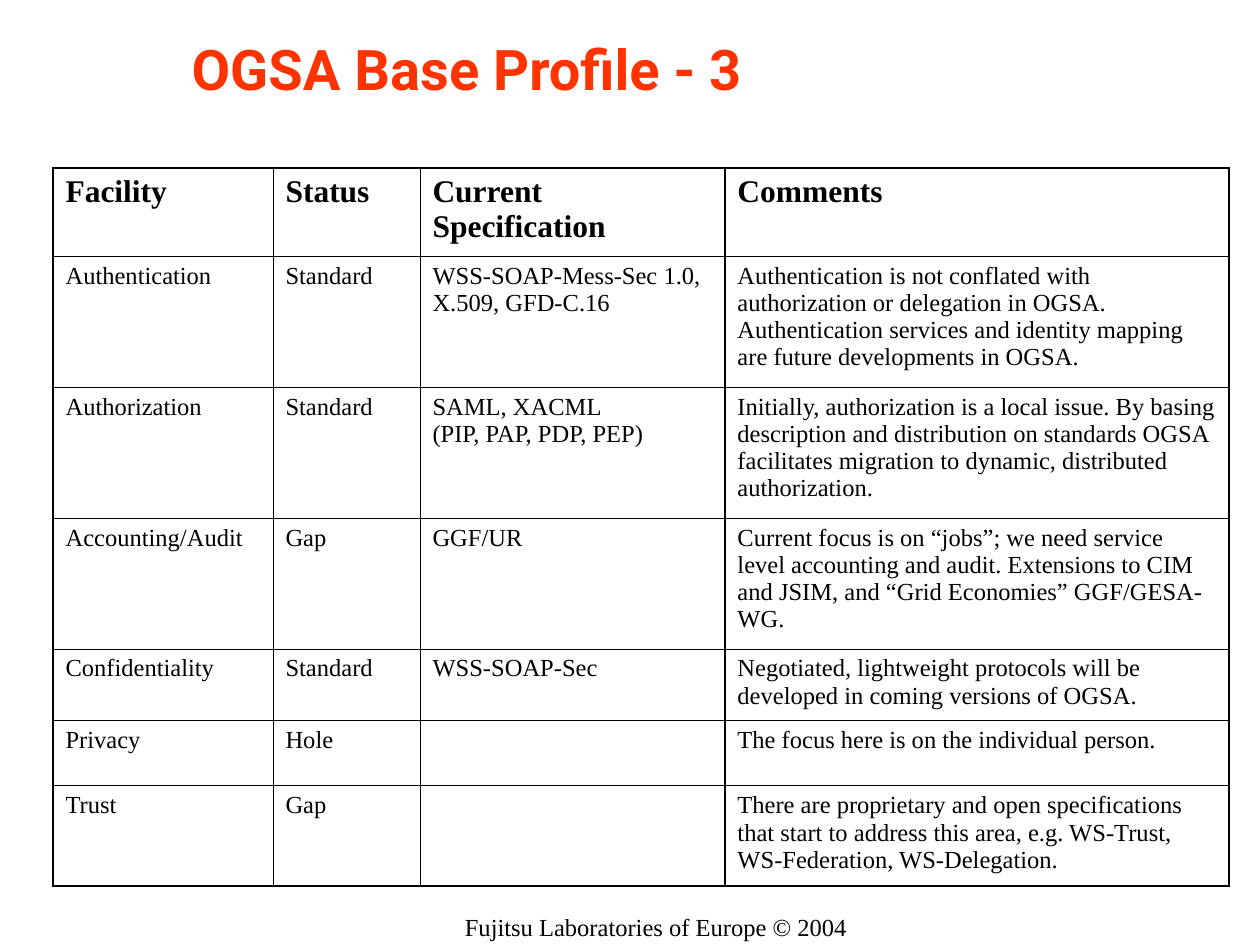
"""Builds the slide listing the third part of the OGSA base profile."""
from lxml import etree
from pptx import Presentation, util as u
from pptx.dml.color import RGBColor
from pptx.enum import text
from pptx.oxml import ns

TITLE = "OGSA Base Profile - 3"
FOOTER = "Fujitsu Laboratories of Europe © 2004"
FACILITIES = [
    ("Facility", "Status", "Current Specification", "Comments"),
    ("Authentication", "Standard", "WSS-SOAP-Mess-Sec 1.0,\nX.509, GFD-C.16",
     "Authentication is not conflated with authorization or delegation in OGSA. "
     "Authentication services and identity mapping are future developments in OGSA."),
    ("Authorization", "Standard", "SAML, XACML\n(PIP, PAP, PDP, PEP)",
     "Initially, authorization is a local issue. By basing description and distribution "
     "on standards OGSA facilitates migration to dynamic, distributed authorization."),
    ("Accounting/Audit", "Gap", "GGF/UR",
     "Current focus is on “jobs”; we need service level accounting and audit. "
     "Extensions to CIM and JSIM, and “Grid Economies” GGF/GESA-WG."),
    ("Confidentiality", "Standard", "WSS-SOAP-Sec",
     "Negotiated, lightweight protocols will be developed in coming versions of OGSA."),
    ("Privacy", "Hole", "", "The focus here is on the individual person."),
    ("Trust", "Gap", "",
     "There are proprietary and open specifications that start to address this area, "
     "e.g. WS-Trust, WS-Federation, WS-Delegation."),
]
COLUMN_WIDTHS = [220, 147, 305, 504]
ROW_HEIGHTS = [88, 131, 131, 131, 72, 65, 100]
THIN, OUTER, DIVIDER = 0.45, 1.08, 1.47


def px(length):
    return u.Emu(round(length * 914400 / 126))


def color(value):
    return RGBColor.from_string(value)


def write(frame, words, size=14, font="Times New Roman", fill="000000", bold=False,
          align=text.PP_ALIGN.LEFT):
    frame.text = words
    frame.word_wrap = True
    for paragraph in frame.paragraphs:
        paragraph.alignment = align
        for run in paragraph.runs:
            run.font.size = u.Pt(size)
            run.font.name = font
            run.font.bold = bold
            run.font.color.rgb = color(fill)


def place(shape, left, top, width, height):
    shape.left, shape.top = px(left), px(top)
    shape.width, shape.height = px(width), px(height)


def add_text_shadow(run):
    effects = etree.Element(ns.qn("a:effectLst"))
    shadow = etree.SubElement(effects, ns.qn("a:outerShdw"), dist="25400", dir="2700000")
    etree.SubElement(shadow, ns.qn("a:srgbClr"), val="000000")
    run.font.fill._xPr.find(ns.qn("a:solidFill")).addnext(effects)


def set_borders(cell, **widths):
    properties = cell._tc.get_or_add_tcPr()
    for side, width in widths.items():
        line = etree.SubElement(properties, ns.qn(f"a:ln{side}"), w=str(u.Pt(width)))
        paint = etree.SubElement(line, ns.qn("a:solidFill"))
        etree.SubElement(paint, ns.qn("a:srgbClr"), val="000000")


def add_facility_table(slide):
    last_row, last_column = len(ROW_HEIGHTS) - 1, len(COLUMN_WIDTHS) - 1
    table = slide.shapes.add_table(
        len(ROW_HEIGHTS), len(COLUMN_WIDTHS), px(53), px(168),
        px(sum(COLUMN_WIDTHS)), px(sum(ROW_HEIGHTS))).table
    table.first_row = table.horz_banding = False
    for column, width in zip(table.columns, COLUMN_WIDTHS):
        column.width = px(width)
    for row, height in zip(table.rows, ROW_HEIGHTS):
        row.height = px(height)
    verticals = [OUTER, THIN, THIN, DIVIDER, OUTER]
    for r, facility in enumerate(FACILITIES):
        for c, words in enumerate(facility):
            cell = table.cell(r, c)
            write(cell.text_frame, words, size=14 if r else 18, bold=r == 0)
            set_borders(cell, L=verticals[c], R=verticals[c + 1],
                        T=THIN if r else OUTER, B=OUTER if r == last_row else THIN)
            cell.fill.background()


def main():
    deck = Presentation()
    deck.slide_width, deck.slide_height = px(1260), px(945)
    slide = deck.slides.add_slide(deck.slide_layouts[5])

    title = slide.shapes.title
    place(title, 179, 0, 903, 136)
    write(title.text_frame, TITLE, size=32, font="Roboto", fill="FF3300", bold=True)
    title.text_frame.auto_size = text.MSO_AUTO_SIZE.NONE
    title.text_frame.vertical_anchor = text.MSO_ANCHOR.MIDDLE
    add_text_shadow(title.text_frame.paragraphs[0].runs[0])

    add_facility_table(slide)

    footer = slide.shapes.add_textbox(px(262), px(903), px(788), px(47))
    frame = footer.text_frame
    frame.margin_left = frame.margin_right = frame.margin_top = frame.margin_bottom = px(9)
    write(frame, FOOTER, align=text.PP_ALIGN.CENTER)
    frame.auto_size = text.MSO_AUTO_SIZE.SHAPE_TO_FIT_TEXT

    deck.save("out.pptx")


if __name__ == "__main__":
    main()
